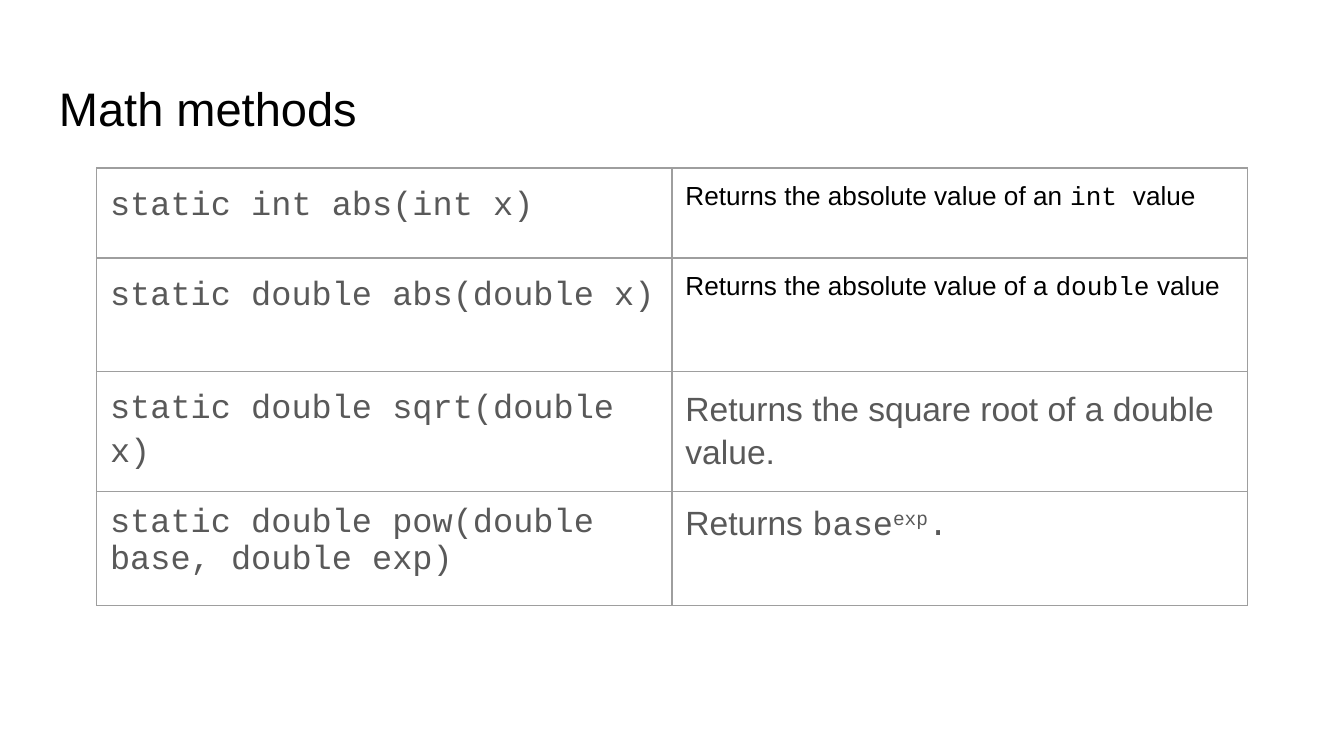
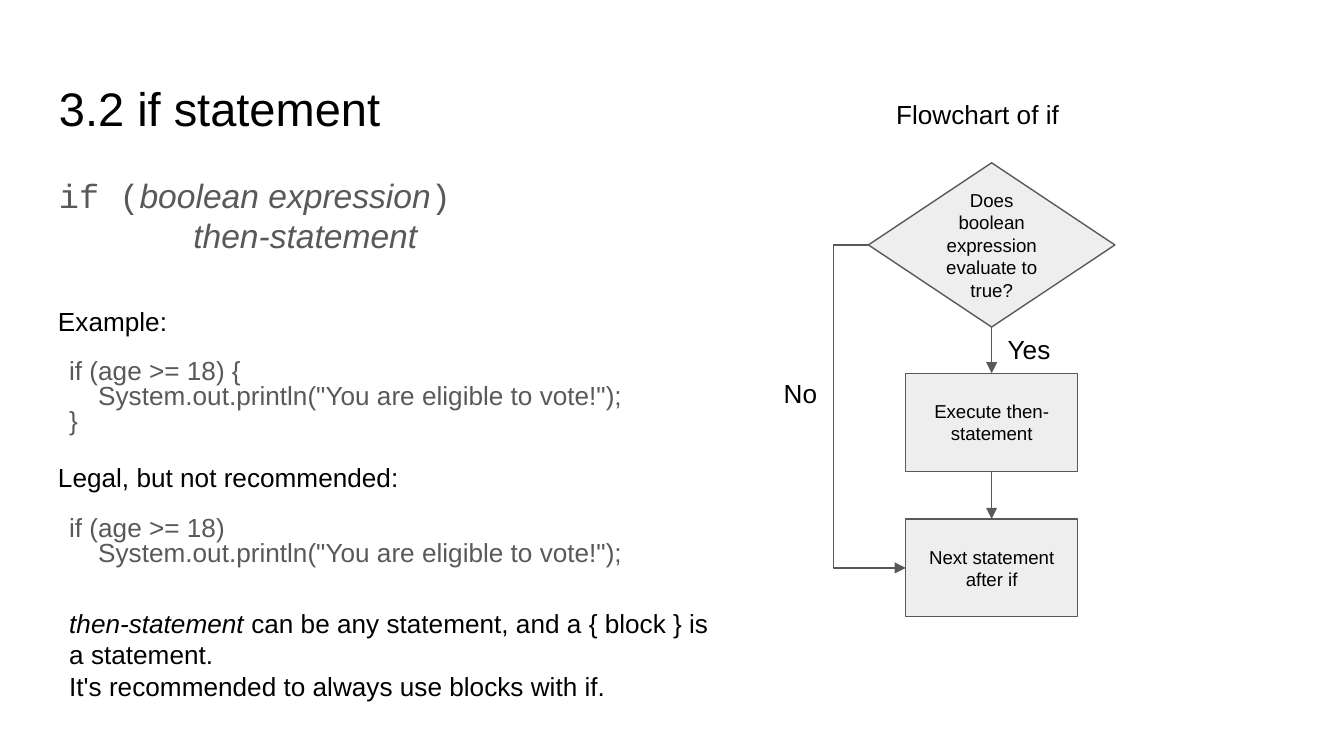
from dataclasses import dataclass
from typing import NamedTuple, Optional

from lxml import etree
from pptx import Presentation
from pptx.dml.color import RGBColor
from pptx.enum.shapes import MSO_CONNECTOR as Link, MSO_SHAPE as Shape
from pptx.enum.text import MSO_ANCHOR as Anchor, PP_ALIGN as Align
from pptx.oxml.ns import qn
from pptx.util import Pt


@dataclass(frozen=True)
class Theme:
    black: str = "000000"
    grey: str = "595959"
    grid: str = "9E9E9E"
    panel: str = "EEEEEE"
    sans: str = "Arial"
    mono: str = "Courier New"
    title: float = 25.2
    body: float = 18
    note: float = 14
    node: float = 10
    inset: float = 7.2
    stroke: float = 0.75


T = Theme()


class Style(NamedTuple):
    size: float
    color: str


TITLE = Style(T.title, T.black)
BODY = Style(T.body, T.grey)
NOTE = Style(T.note, T.black)
CODE = Style(T.note, T.grey)
NODE = Style(T.node, T.black)


class Run(NamedTuple):
    text: str
    font: str = T.sans
    italic: bool = False
    superscript: bool = False


class Para(NamedTuple):
    runs: list[Run]
    style: Style = NOTE
    spacing: Optional[float] = None
    before: float = 0
    after: float = 0
    indent: float = 0
    align: Align = Align.LEFT


class Box(NamedTuple):
    left: float
    top: float
    width: float
    height: float


class Label(NamedTuple):
    box: Box
    paras: list[Para]


class Node(NamedTuple):
    kind: Shape
    top: float
    width: float
    height: float
    text: str


def apply(target, **values) -> None:
    for name, value in values.items():
        setattr(target, name, value)


def write(tf, paras: list[Para]) -> None:
    """Fill a text frame; a newline inside a run becomes a line break."""
    for i, para in enumerate(paras):
        p = tf.add_paragraph() if i else tf.paragraphs[0]
        apply(p, alignment=para.align, space_before=Pt(para.before),
              space_after=Pt(para.after))
        if para.spacing:
            p.line_spacing = para.spacing
        if para.indent:
            p._p.get_or_add_pPr().set("marL", str(Pt(para.indent)))
        for run in para.runs:
            for n, line in enumerate(run.text.split("\n")):
                if n:
                    p.add_line_break()
                r = p.add_run()
                r.text = line
                apply(r.font, size=Pt(para.style.size), name=run.font, italic=run.italic)
                r.font.color.rgb = RGBColor.from_string(para.style.color)
                if run.superscript:
                    r._r.get_or_add_rPr().set("baseline", "30000")


def prepare(tf, anchor: Anchor = Anchor.TOP) -> None:
    sides = ("left", "top", "right", "bottom")
    apply(tf, word_wrap=True, vertical_anchor=anchor,
          **{f"margin_{side}": Pt(T.inset) for side in sides})


def add_label(s, label: Label) -> None:
    tf = s.shapes.add_textbox(*map(Pt, label.box)).text_frame
    prepare(tf)
    write(tf, label.paras)


def add_title(s, text: str, width: float) -> None:
    add_label(s, Label(Box(24.5, 35.25, width, 45.5), [Para([Run(text)], TITLE)]))


def set_line(line) -> None:
    line.color.rgb = RGBColor.from_string(T.grey)
    line.width = Pt(T.stroke)


def add_node(s, node: Node, center: float):
    sp = s.shapes.add_shape(node.kind, Pt(center - node.width / 2), Pt(node.top),
                            Pt(node.width), Pt(node.height))
    sp.shadow.inherit = False
    sp.fill.solid()
    sp.fill.fore_color.rgb = RGBColor.from_string(T.panel)
    set_line(sp.line)
    prepare(sp.text_frame, Anchor.MIDDLE)
    write(sp.text_frame, [Para([Run(node.text)], NODE, align=Align.CENTER)])
    return sp


def add_arrow(s, kind: Link, start, start_side: int, end, end_side: int):
    c = s.shapes.add_connector(kind, 0, 0, 0, 0)
    c.begin_connect(start, start_side)
    c.end_connect(end, end_side)
    set_line(c.line)
    etree.SubElement(c.line._get_or_add_ln(), qn("a:tailEnd"), type="triangle")
    etree.SubElement(c._element.spPr, qn("a:effectLst"))
    return c


def bend_at(c, lane: float) -> None:
    """Put the vertical part of an elbow connector at x = lane."""
    share = (Pt(lane) - c.begin_x) / (c.end_x - c.begin_x)
    geometry = c._element.spPr.find(qn("a:prstGeom"))
    guides = geometry.find(qn("a:avLst"))
    if guides is None:
        guides = etree.SubElement(geometry, qn("a:avLst"))
    etree.SubElement(guides, qn("a:gd"), name="adj1", fmla=f"val {round(share * 100000)}")


def add_borders(cell) -> None:
    tc_pr = cell._tc.get_or_add_tcPr()
    for i, side in enumerate("LRTB"):
        ln = etree.Element(qn(f"a:ln{side}"), w=str(Pt(T.stroke)))
        fill = etree.SubElement(ln, qn("a:solidFill"))
        etree.SubElement(fill, qn("a:srgbClr"), val=T.grid)
        tc_pr.insert(i, ln)


def add_grid(s, left: float, top: float, col_width: float, heights: list[float],
             rows: list[tuple[Para, ...]]) -> None:
    cols = len(rows[0])
    table = s.shapes.add_table(len(rows), cols, Pt(left), Pt(top),
                               Pt(col_width * cols), Pt(sum(heights))).table
    apply(table, first_row=False, horz_banding=False)
    for col in table.columns:
        col.width = Pt(col_width)
    for row, height, paras in zip(table.rows, heights, rows):
        row.height = Pt(height)
        for cell, para in zip(row.cells, paras):
            cell.fill.background()
            add_borders(cell)
            apply(cell, **{f"margin_{side}": Pt(T.inset)
                           for side in ("left", "top", "right", "bottom")})
            write(cell.text_frame, [para])


def body_cell(*runs: Run, spacing: float = 1.15) -> Para:
    return Para(list(runs), BODY, spacing, after=12)


def signature(text: str, spacing: float = 1.15) -> Para:
    return body_cell(Run(text, T.mono), spacing=spacing)


def absolute_value(article: str, type_name: str, rest: str) -> Para:
    return Para([Run(f"Returns the absolute value of {article} "),
                 Run(type_name, T.mono), Run(rest)])


def note(*runs: Run) -> Para:
    return Para(list(runs))


def code(text: str) -> Para:
    return Para([Run(text)], CODE, 0.8)


def build_math_methods(s) -> None:
    add_title(s, "Math methods", 671)
    power = body_cell(Run("Returns "), Run("base", T.mono),
                      Run("exp", T.mono, superscript=True), Run(".", T.mono), spacing=0.95)
    add_grid(s, 51.75, 90, 308.25, [48.25, 61, 61, 61], [
        (signature("static int abs(int x)"), absolute_value("an", "int ", "value")),
        (signature("static double abs(double x)"), absolute_value("a", "double", " value")),
        (signature("static double sqrt(double x)"),
         body_cell(Run("Returns the square root of a double value."))),
        (signature("static double pow(double base, double exp)", 0.95), power),
    ])


def build_if_statement(s) -> None:
    add_title(s, "3.2 if statement", 271)
    syntax = [
        Para([Run("if (", T.mono), Run("boolean expression", italic=True),
              Run(")", T.mono)], BODY, 0.8),
        Para([Run("then-statement", italic=True)], BODY, 0.8, before=4, indent=72),
    ]
    vote = '    System.out.println("You are eligible to vote!");'
    labels = [
        Label(Box(24.5, 90.75, 276.5, 61), syntax),
        Label(Box(24, 156.25, 236, 31.5), [note(Run("Example:"))]),
        Label(Box(30, 186, 340.5, 55.5), [code(f"if (age >= 18) {{\n{vote}\n}}")]),
        Label(Box(24, 240, 236, 31.5), [note(Run("Legal, but not recommended:"))]),
        Label(Box(30, 270, 340.5, 42), [code(f"if (age >= 18)\n{vote}")]),
        Label(Box(30, 318.25, 367, 65.5), [
            note(Run("then-statement", italic=True),
                 Run(" can be any statement, and a { block } is a statement.")),
            note(Run("It's recommended to always use blocks with if."))]),
        Label(Box(473, 45.25, 116, 31.5), [note(Run("Flowchart of if"))]),
        Label(Box(532.75, 171.5, 38, 31.5), [note(Run("Yes"))]),
        Label(Box(412.75, 195, 38, 31.5), [note(Run("No"))]),
    ]
    for label in labels:
        add_label(s, label)

    nodes = [
        Node(Shape.FLOWCHART_DECISION, 87.25, 132, 88,
             "Does boolean expression evaluate to true?"),
        Node(Shape.RECTANGLE, 200, 92, 52.5, "Execute then-statement"),
        Node(Shape.RECTANGLE, 278, 92, 52.5, "Next statement after if"),
    ]
    decision, then, after = [add_node(s, node, 531.25) for node in nodes]
    for upper, lower in ((decision, then), (then, after)):
        add_arrow(s, Link.STRAIGHT, upper, 2, lower, 0)
    bend_at(add_arrow(s, Link.ELBOW, decision, 1, after, 1), 446.5)


def main() -> None:
    prs = Presentation()
    apply(prs, slide_width=Pt(720), slide_height=Pt(405))
    for build in (build_math_methods, build_if_statement):
        build(prs.slides.add_slide(prs.slide_layouts[6]))
    prs.save("out.pptx")


if __name__ == "__main__":
    main()
